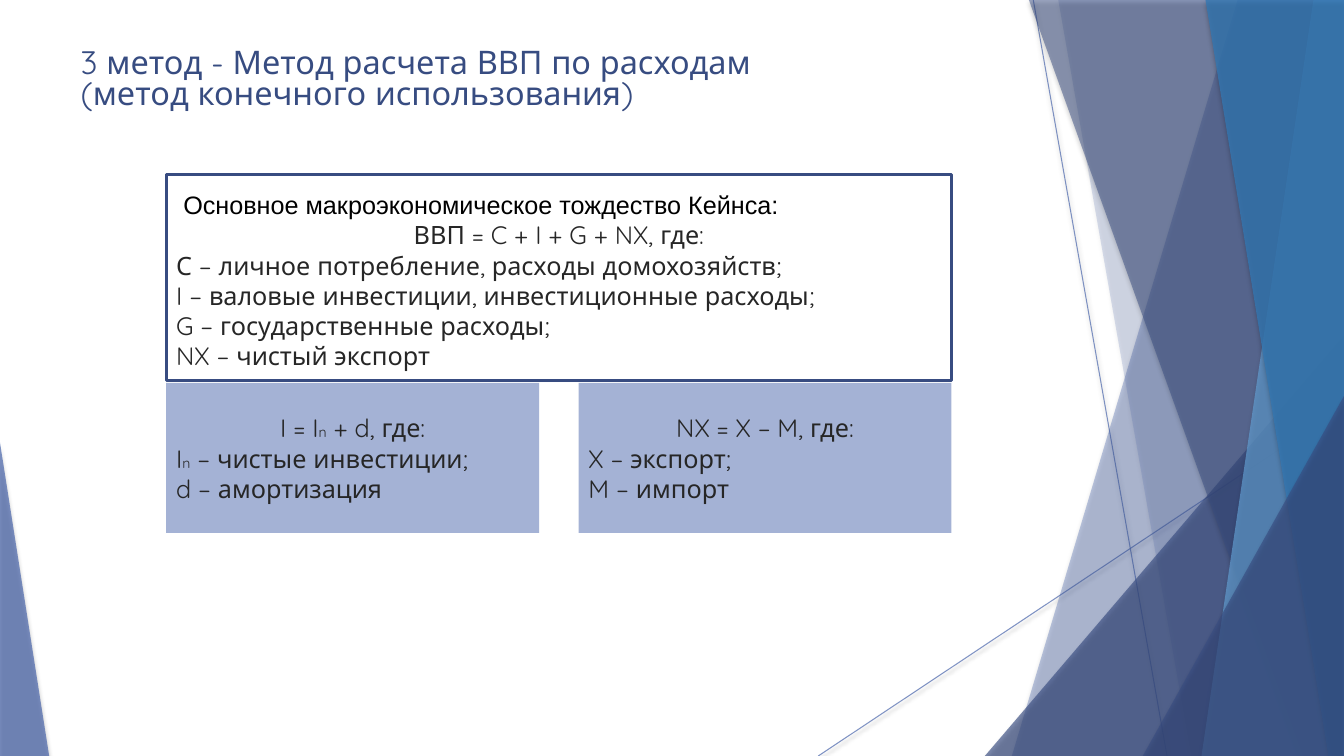
from lxml import etree
from pptx import Presentation
from pptx import util as u
from pptx.dml.color import RGBColor
from pptx.enum import shapes, text
from pptx.oxml.ns import qn

Cm, Pt = u.Cm, u.Pt
WIDE, HIGH = 33.87, 19.05
BLUE, NAVY, SKY, DEEP = "4A66AC", "384C81", "629DD1", "3477B2"
LEFT, MID = text.PP_ALIGN.LEFT, text.PP_ALIGN.CENTER


def paint(form, tone):
    """Set a fill or font colour from a hex string."""
    form.rgb = RGBColor.from_string(tone)


def fade(shape, rate):
    """Make the colour of a shape partly transparent."""
    for tone in shape._element.spPr.iter(qn("a:srgbClr")):
        etree.SubElement(tone, qn("a:alpha"), val=str(rate * 1000))


def shade(shape, blur, dist, rate):
    """Give a shape a soft shadow that falls downwards."""
    list_ = etree.SubElement(shape._element.spPr, qn("a:effectLst"))
    drop = etree.SubElement(list_, qn("a:outerShdw"), blurRad=str(Pt(blur)),
                            dist=str(Pt(dist)), dir="5400000", rotWithShape="0")
    tone = etree.SubElement(drop, qn("a:srgbClr"), val="000000")
    etree.SubElement(tone, qn("a:alpha"), val=str(rate * 1000))


def facet(shape, tone, rate):
    """Style one translucent facet of the backdrop."""
    shape.fill.solid()
    paint(shape.fill.fore_color, tone)
    shape.line.fill.background()
    fade(shape, rate)
    shade(shape, 3, 2, 35)


def ray(slide, x1, y1, x2, y2):
    """Draw one thin line of the backdrop."""
    line = slide.shapes.add_connector(shapes.MSO_CONNECTOR.STRAIGHT,
                                      Cm(x1), Cm(y1), Cm(x2), Cm(y2))
    paint(line.line.color, BLUE)
    line.line.width = Pt(0.75)
    fade(line, 70)
    shade(line, 3.1, 1.6, 38)


def band(slide, box, top, base, tone, rate):
    """Fill from a slanted left edge to the right side of the box."""
    x, y, w, h = box
    pen = slide.shapes.build_freeform(Cm(x + top), Cm(y), scale=1.0)
    pen.add_line_segments([(Cm(x + w), Cm(y)), (Cm(x + w), Cm(y + h)),
                           (Cm(x + base), Cm(y + h))], close=True)
    facet(pen.convert_to_shape(), tone, rate)


def wedge(slide, box, wide, top, peak, tone, rate):
    """Stand a right triangle in a lower corner of the box."""
    x, y, w, h = box
    shape = slide.shapes.add_shape(shapes.MSO_SHAPE.ISOSCELES_TRIANGLE,
                                   Cm(x + peak * (w - wide)), Cm(y + top),
                                   Cm(wide), Cm(h - top))
    shape.adjustments[0] = peak
    facet(shape, tone, rate)


def backdrop(slide, box):
    """Draw the faceted backdrop along the sides of the box."""
    x, y, w, h = box
    ray(slide, x + 26.04, y, x + 29.41, y + h)
    ray(slide, x + w, y + 10.24, x + 20.62, y + h)
    band(slide, box, 31.19, 25.5, BLUE, 36)
    band(slide, box, 26.67, 30.02, BLUE, 20)
    wedge(slide, box, 9.05, 8.46, 1, NAVY, 66)
    band(slide, box, 25.93, 32.79, NAVY, 50)
    band(slide, box, 33.1, 30.28, SKY, 70)
    band(slide, box, 30.38, 33.48, DEEP, 80)
    wedge(slide, box, 5.07, 9.98, 1, NAVY, 66)
    wedge(slide, box, 1.24, 11.15, 0, BLUE, 70)


def write(frame, lines, size=18, face="Quicksand", tone="262626", first=LEFT):
    """Write lines in a frame, with the letter after each _ set small."""
    frame.word_wrap = True
    frame.auto_size = text.MSO_AUTO_SIZE.NONE
    for i, line in enumerate(lines):
        para = frame.paragraphs[0] if i == 0 else frame.add_paragraph()
        para.alignment = LEFT if i else first
        para.font.size, para.font.name = Pt(size), face
        paint(para.font.color, tone)
        head, *rest = line.split("_")
        para.add_run().text = head
        for part in rest:
            sub = para.add_run()
            sub.text = part[0]
            sub.font.size = Pt(10)
            para.add_run().text = part[1:]


def label(slide, x, y, w, h, lines, **look):
    """Place a text box."""
    box = slide.shapes.add_textbox(Cm(x), Cm(y), Cm(w), Cm(h))
    write(box.text_frame, lines, **look)


def block(slide, x, y, w, h):
    """Place a plain rectangle."""
    shape = slide.shapes.add_shape(shapes.MSO_SHAPE.RECTANGLE,
                                   Cm(x), Cm(y), Cm(w), Cm(h))
    shape.shadow.inherit = False
    return shape


def heading(slide, box):
    """Fit the title placeholder to the box."""
    title = slide.shapes.title
    title.left, title.top, title.width, title.height = map(Cm, box)
    frame = title.text_frame
    write(frame, ["3 метод - Метод расчета ВВП по расходам",
                  "(метод конечного использования)"], size=23.2, tone="374C81")
    frame.vertical_anchor = text.MSO_ANCHOR.TOP
    for para in frame.paragraphs:
        para.line_spacing = 0.8


def identity(slide, box):
    """Show the framed identity with its terms."""
    x, y, w, h = box
    edge = block(slide, *box)
    edge.fill.background()
    paint(edge.line.color, NAVY)
    edge.line.width = Pt(2.25)
    label(slide, x, y + 1.02, w, h - 1.15,
          ["ВВП = C + I + G + NX, где:",
           "С – личное потребление, расходы домохозяйств;",
           "I – валовые инвестиции, инвестиционные расходы;",
           "G – государственные расходы;",
           "NX – чистый экспорт"], first=MID)
    label(slide, x + 0.18, y + 0.26, 16.41, 0.97,
          ["Основное макроэкономическое тождество Кейнса:"],
          face="Arial", tone="000000")


def details(slide, box):
    """Set the two formula panels at the ends of the box."""
    x, y, w, h = box
    wide = 9.4
    panels = [["I = I_n + d, где:", "I_n – чистые инвестиции;", "d – амортизация"],
              ["NX = X – M, где:", "X – экспорт;", "M – импорт"]]
    for i, lines in enumerate(panels):
        panel = block(slide, x + i * (w - wide), y, wide, h)
        panel.fill.solid()
        paint(panel.fill.fore_color, BLUE)
        fade(panel, 50)
        panel.line.fill.background()
        write(panel.text_frame, lines, first=MID)
        panel.text_frame.vertical_anchor = text.MSO_ANCHOR.MIDDLE


def main():
    """Build the slide and save it."""
    deck = Presentation()
    deck.slide_width, deck.slide_height = Cm(WIDE), Cm(HIGH)
    slide = deck.slides.add_slide(deck.slide_layouts[5])
    backdrop(slide, (0, 0, WIDE, HIGH))
    heading(slide, (1.78, 1.12, 23.39, 1.85))
    identity(slide, (4.19, 4.39, 19.79, 5.21))
    details(slide, (4.19, 9.65, 19.79, 3.78))
    deck.save("out.pptx")


if __name__ == "__main__":
    main()
